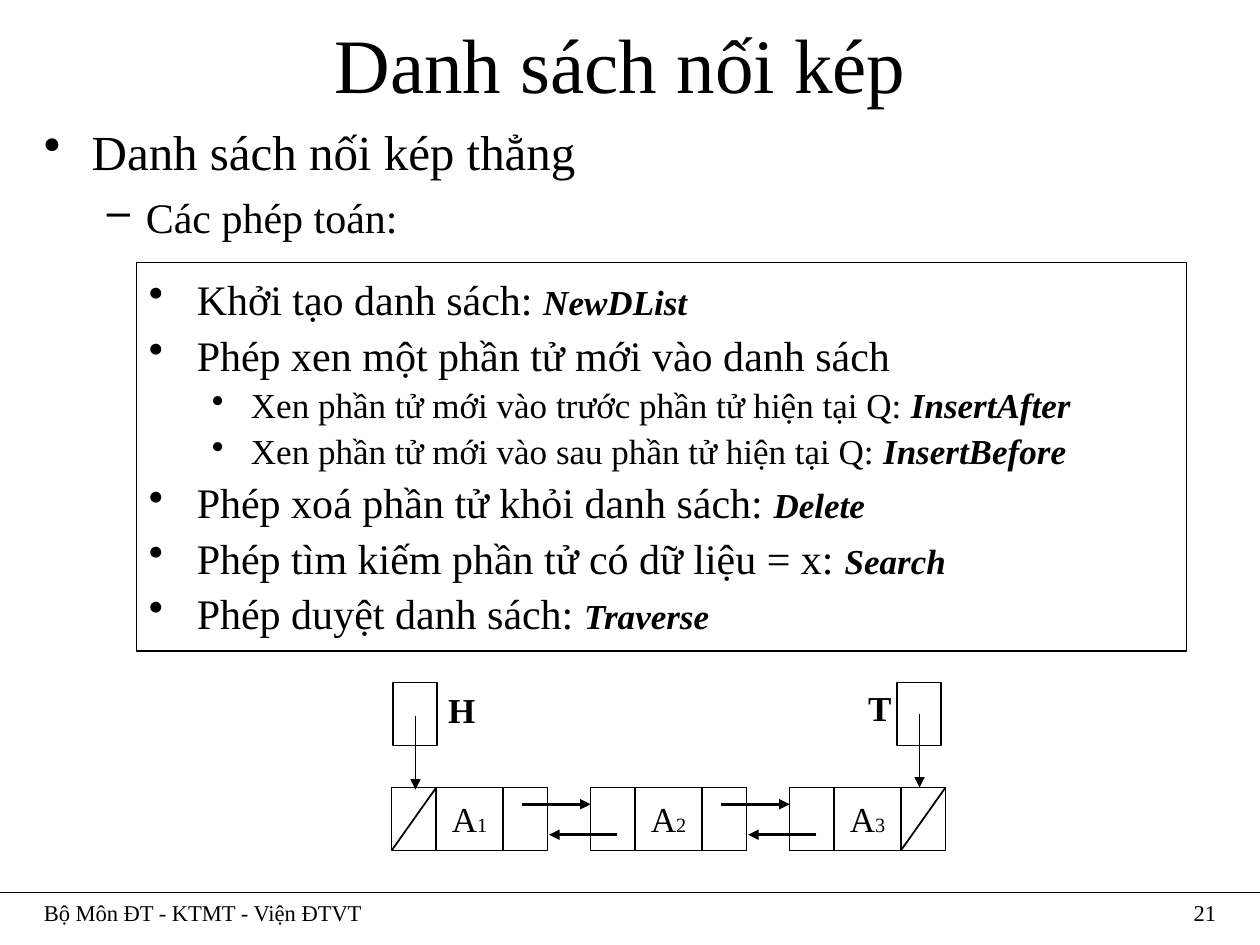
"""Build the slide on doubly linked lists on a grid of 120 columns by 90 rows."""
from dataclasses import dataclass
from typing import Any, Optional

from lxml import etree
from pptx import Presentation
from pptx import util as u
from pptx.dml.color import RGBColor
from pptx.enum import shapes, text
from pptx.oxml import ns

COLORS = {"ink": "000000"}
FONT = "Times New Roman"
COLS, ROWS = 120, 90
CELL, DATA, HEIGHT = 4.25, 6.35, 6
NODE_LEFT, NODE_TOP, PITCH = 37.3, 75, 18.95
INDENTS = ((0.38, -0.38), (0.81, -0.31))

prs = Presentation()
prs.slide_width, prs.slide_height = u.Inches(10), u.Inches(7.5)
s = prs.slides.add_slide(prs.slide_layouts[5])


@dataclass(frozen=True)
class Box:
    left: float
    top: float
    width: float
    height: float

    def emu(self) -> tuple[int, int, int, int]:
        return col(self.left), row(self.top), col(self.width), row(self.height)


@dataclass(frozen=True)
class Item:
    label: str
    level: int = 0
    function: str = ""
    bullet: str = "•"
    size: float = 24
    before: float = 0


@dataclass(frozen=True)
class Pointer:
    name: str
    box: Box
    label: Box
    start: float
    end: float


def col(n: float) -> int:
    return round(prs.slide_width * n / COLS)


def row(n: float) -> int:
    return round(prs.slide_height * n / ROWS)


def ink() -> RGBColor:
    return RGBColor.from_string(COLORS["ink"])


def write(p: Any, words: str, *, size: float, bold: bool = False,
          italic: bool = False, baseline: Optional[int] = None) -> None:
    r = p.add_run()
    r.text = words
    f = r.font
    f.name, f.size, f.bold, f.italic = FONT, u.Pt(size), bold, italic
    f.color.rgb = ink()
    if baseline is not None:
        r._r.get_or_add_rPr().set("baseline", str(baseline))


def add_text(box: Box, wrap: bool = True) -> Any:
    tf = s.shapes.add_textbox(*box.emu()).text_frame
    tf.word_wrap = wrap
    return tf


def add_rect(box: Box, width: float = 1) -> Any:
    sp = s.shapes.add_shape(shapes.MSO_SHAPE.RECTANGLE, *box.emu())
    sp.shadow.inherit = False
    sp.fill.background()
    sp.line.color.rgb = ink()
    sp.line.width = u.Pt(width)
    return sp


def add_line(x1: float, y1: float, x2: float, y2: float,
             width: float = 1, arrow: bool = False) -> None:
    c = s.shapes.add_connector(shapes.MSO_CONNECTOR.STRAIGHT,
                               col(x1), row(y1), col(x2), row(y2))
    c.line.color.rgb = ink()
    c.line.width = u.Pt(width)
    if arrow:
        etree.SubElement(c.line._get_or_add_ln(), ns.qn("a:tailEnd"), type="triangle")
    etree.SubElement(c._element.spPr, ns.qn("a:effectLst"))


def add_items(tf: Any, items: list[Item], spacing: float = 1) -> None:
    for i, item in enumerate(items):
        p = tf.add_paragraph() if i else tf.paragraphs[0]
        p.level, p.line_spacing = item.level, spacing
        p.alignment = text.PP_ALIGN.LEFT
        p.space_before = u.Pt(item.before)
        margin, indent = INDENTS[item.level]
        pPr = p._p.get_or_add_pPr()
        pPr.set("marL", str(u.Inches(margin)))
        pPr.set("indent", str(u.Inches(indent)))
        etree.SubElement(pPr, ns.qn("a:buChar"), char=item.bullet)
        write(p, item.label, size=item.size)
        if item.function:
            write(p, item.function, size=20, bold=True, italic=True)


def add_node(index: int, count: int) -> None:
    x = NODE_LEFT + index * PITCH
    last = index == count - 1
    next_x = x + CELL + DATA
    add_rect(Box(x, NODE_TOP, CELL, HEIGHT))
    add_rect(Box(next_x, NODE_TOP, CELL, HEIGHT))
    sp = add_rect(Box(x + CELL, NODE_TOP, DATA, HEIGHT))
    tf = sp.text_frame
    tf.word_wrap = False
    tf.vertical_anchor = text.MSO_ANCHOR.MIDDLE
    p = tf.paragraphs[0]
    p.alignment = text.PP_ALIGN.CENTER
    write(p, "A", size=20)
    write(p, str(index + 1), size=20, baseline=-25)
    ends = [x] * (index == 0) + [next_x] * last
    for left in ends:
        add_line(left, NODE_TOP + HEIGHT, left + CELL, NODE_TOP)
    if not last:
        add_line(x + 12.4, 76.6, x + PITCH, 76.6, width=1.5, arrow=True)
        add_line(x + 21.5, 79.5, x + 15, 79.5, width=1.5, arrow=True)


def add_pointer(pointer: Pointer) -> None:
    add_rect(pointer.box)
    write(add_text(pointer.label, wrap=False).paragraphs[0], pointer.name,
          size=20, bold=True)
    x = pointer.box.left + pointer.box.width / 2 + 0.05
    add_line(x, pointer.start, x, pointer.end, width=0.75, arrow=True)


def main() -> None:
    title = s.shapes.title
    title.left, title.top, title.width, title.height = Box(3, 1, 114, 10).emu()
    tf = title.text_frame
    tf.auto_size = text.MSO_AUTO_SIZE.NONE
    tf.vertical_anchor = text.MSO_ANCHOR.MIDDLE
    tf.paragraphs[0].alignment = text.PP_ALIGN.CENTER
    write(tf.paragraphs[0], "Danh sách nối kép ", size=44)

    add_items(add_text(Box(3, 11, 114, 13)), [
        Item("Danh sách nối kép thẳng", size=28),
        Item("Các phép toán:", 1, bullet="–", before=6),
    ])

    tf = add_rect(Box(13, 25, 100, 37), width=0.75).text_frame
    tf.word_wrap = True
    tf.vertical_anchor = text.MSO_ANCHOR.TOP
    add_items(tf, [
        Item("Khởi tạo danh sách: ", function="NewDList"),
        Item("Phép xen một phần tử mới vào danh sách"),
        Item("Xen phần tử mới vào trước phần tử hiện tại Q: ", 1, "InsertAfter", size=20),
        Item("Xen phần tử mới vào sau phần tử hiện tại Q: ", 1, "InsertBefore", size=20),
        Item("Phép xoá phần tử khỏi danh sách: ", function="Delete"),
        Item("Phép tìm kiếm phần tử có dữ liệu = x: ", function="Search"),
        Item("Phép duyệt danh sách: ", function="Traverse"),
    ], spacing=1.1)

    for index in range(3):
        add_node(index, 3)
    add_pointer(Pointer("H", Box(37.4, 65, CELL, HEIGHT), Box(41.5, 65, 4.9, 5.3), 68.2, 75.2))
    add_pointer(Pointer("T", Box(85.4, 65, CELL, HEIGHT), Box(81.5, 64.8, 4.6, 5.3), 68, 75))

    add_line(0, 85, COLS, 85, width=0.75)
    write(add_text(Box(3, 85, 102, 4)).paragraphs[0], "Bộ Môn ĐT - KTMT - Viện ĐTVT", size=12.9)
    p = add_text(Box(107, 85, 10, 4)).paragraphs[0]
    p.alignment = text.PP_ALIGN.RIGHT
    write(p, "21", size=12.9)
    prs.save("out.pptx")


if __name__ == "__main__":
    main()
